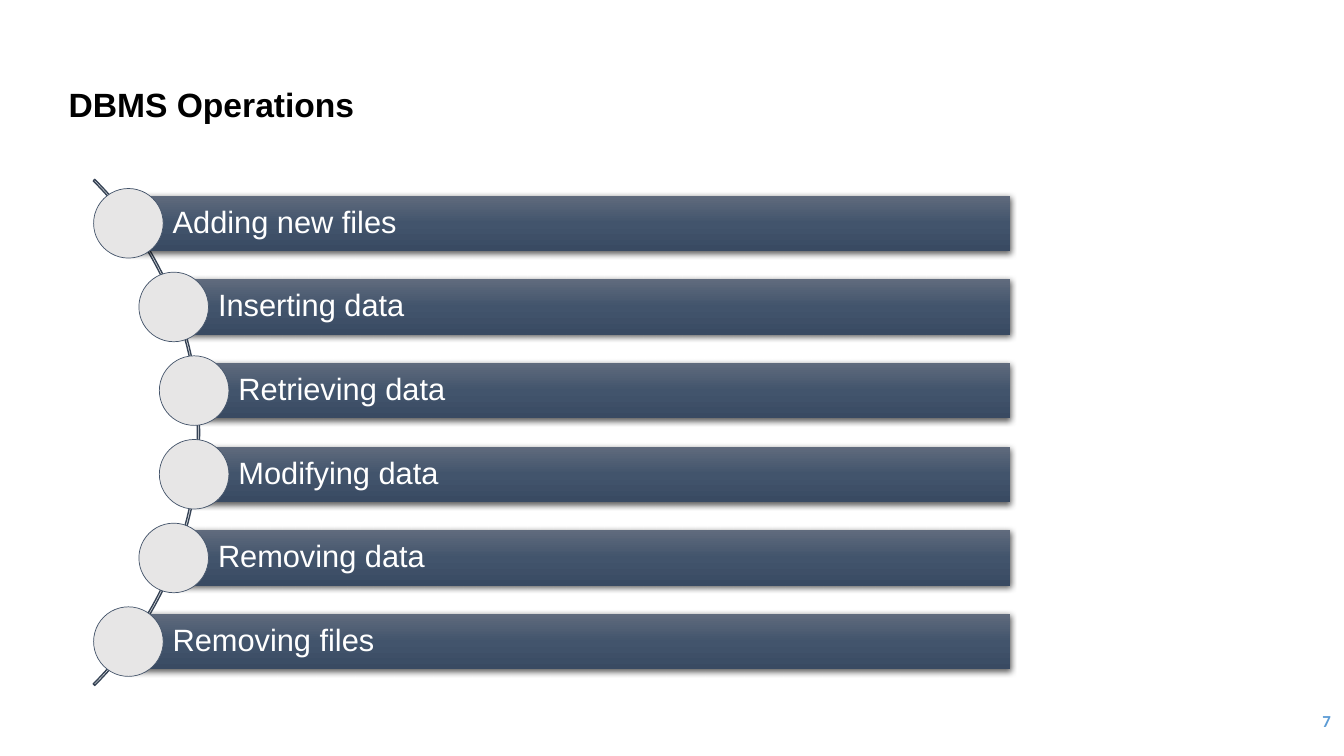
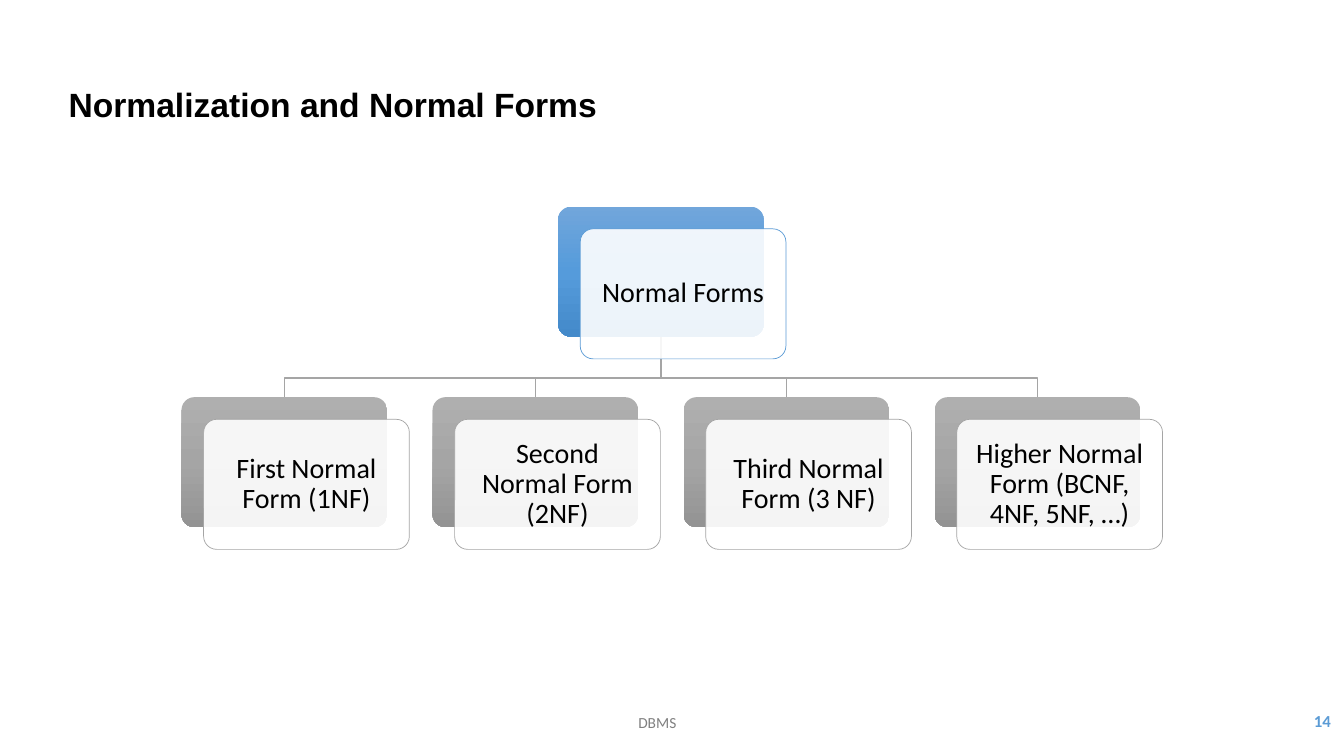
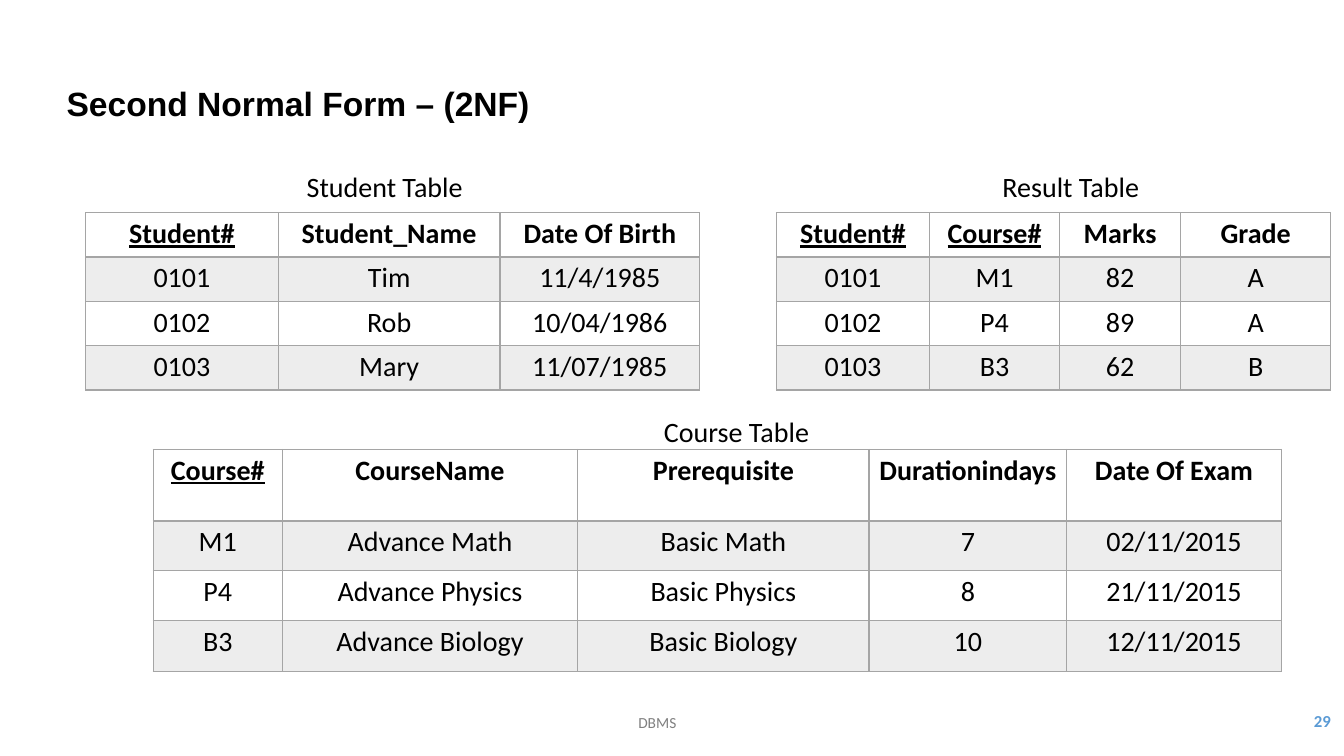
from math import sqrt

from lxml.etree import SubElement
from pptx import Presentation
from pptx.dml.color import RGBColor
from pptx.enum.shapes import MSO_SHAPE
from pptx.enum.text import MSO_ANCHOR, MSO_AUTO_SIZE, PP_ALIGN
from pptx.oxml.ns import qn
from pptx.util import Inches, Pt

BLACK, WHITE = "000000", "FFFFFF"
BLUE, GRAY, FOOTER_GRAY = "5B9BD5", "A5A5A5", "808080"
NAVY, CIRCLE_FILL, ARC_LINE = "44546A", "E7E6E6", "364355"
BAND = "EDEDED"
NAVY_SHADES = ["606B7D", "42546C", "394A62"]
BLUE_SHADES = ["71A6DB", "559BDB", "448ACA"]
GRAY_SHADES = ["AFAFAF", "A5A5A5", "939393"]
HEADING_FONT, BODY_FONT = "Arial", "Calibri"
TITLE_ONLY = 5


def rgb(color):
    return RGBColor.from_string(color)


class Deck:
    def __init__(self):
        self.presentation = Presentation()
        self.presentation.slide_width = Inches(13.33)
        self.presentation.slide_height = Inches(7.5)
        self.slide = None

    def add_slide(self, title, number, footer=None, left=0.58, top=0.86):
        layout = self.presentation.slide_layouts[TITLE_ONLY]
        self.slide = self.presentation.slides.add_slide(layout)
        heading = self.slide.shapes.title
        heading.left, heading.top = Inches(left), Inches(top)
        heading.width, heading.height = Inches(10.44), Inches(0.4)
        self.set_text(heading.text_frame, title, 24, font=HEADING_FONT, bold=True,
                      align=PP_ALIGN.LEFT, spacing=0.9)
        if footer:
            self.label(footer, 3.29, 6.97, 6.46, 0.4, 11, FOOTER_GRAY)
        self.label(str(number), 11.63, 6.95, 1.67, 0.4, 12, BLUE,
                   bold=True, align=PP_ALIGN.RIGHT)

    def set_text(self, frame, text, size, color=BLACK, font=BODY_FONT, bold=False,
                 align=PP_ALIGN.CENTER, spacing=None, insets=None):
        """Fill a text frame with one paragraph; insets are left, top, right, bottom."""
        frame.word_wrap = True
        frame.auto_size = MSO_AUTO_SIZE.NONE
        frame.vertical_anchor = MSO_ANCHOR.MIDDLE
        if insets:
            (frame.margin_left, frame.margin_top,
             frame.margin_right, frame.margin_bottom) = map(Inches, insets)
        self.add_run(frame.paragraphs[0], text, size, color, font, bold, align)
        if spacing:
            frame.paragraphs[0].line_spacing = spacing

    def add_run(self, paragraph, text, size, color=BLACK, font=BODY_FONT,
                bold=False, align=PP_ALIGN.CENTER, underline=False):
        paragraph.alignment = align
        run = paragraph.add_run()
        run.text = text
        run.font.size, run.font.name = Pt(size), font
        run.font.bold, run.font.underline = bold, underline
        run.font.color.rgb = rgb(color)

    def label(self, text, left, top, width, height, size, color=BLACK, **style):
        box = self.slide.shapes.add_textbox(
            Inches(left), Inches(top), Inches(width), Inches(height))
        self.set_text(box.text_frame, text, size, color, **style)

    def shape(self, preset, left, top, width, height, fill=None, line=None,
              line_width=0.5, adjustments=()):
        """Add a preset shape; a list as fill gives a downward gradient."""
        shape = self.slide.shapes.add_shape(
            preset, Inches(left), Inches(top), Inches(width), Inches(height))
        for index, value in enumerate(adjustments):
            shape.adjustments[index] = value
        if isinstance(fill, list):
            self.set_gradient(shape, fill)
        elif fill:
            shape.fill.solid()
            shape.fill.fore_color.rgb = rgb(fill)
        else:
            shape.fill.background()
        self.set_line(shape, line, line_width)
        return shape

    def set_line(self, shape, color, width):
        shape.shadow.inherit = False
        if color:
            shape.line.color.rgb = rgb(color)
            shape.line.width = Pt(width)
        else:
            shape.line.fill.background()

    def set_gradient(self, shape, colors):
        shape.fill.gradient()
        shape.fill.gradient_angle = 270
        stops = shape._element.spPr.find(qn("a:gradFill")).find(qn("a:gsLst"))
        for stop in list(stops):
            stops.remove(stop)
        for index, color in enumerate(colors):
            position = 100000 * index // (len(colors) - 1)
            stop = SubElement(stops, qn("a:gs"), pos=str(position))
            SubElement(stop, qn("a:srgbClr"), val=color)

    def drop_shadow(self, shape):
        effects = shape._element.spPr.find(qn("a:effectLst"))
        shadow = SubElement(effects, qn("a:outerShdw"), blurRad=str(Pt(4.5)),
                            dist=str(Pt(1.5)), dir="5400000", rotWithShape="0")
        color = SubElement(shadow, qn("a:srgbClr"), val=BLACK)
        SubElement(color, qn("a:alpha"), val="63000")

    def bar(self, text, left, top, width, height):
        bar = self.shape(MSO_SHAPE.RECTANGLE, left, top, width, height, NAVY_SHADES)
        self.drop_shadow(bar)
        self.set_text(bar.text_frame, text, 22, WHITE, HEADING_FONT,
                      align=PP_ALIGN.LEFT, spacing=0.9, insets=(0.44, 0.06, 0.06, 0.06))

    def card(self, text, left, top, width, height, shades, line):
        """Add a shaded box with a translucent text box shifted over it."""
        self.shape(MSO_SHAPE.ROUNDED_RECTANGLE, left, top, width, height, shades,
                   adjustments=[0.1])
        front = self.shape(MSO_SHAPE.ROUNDED_RECTANGLE, left + 0.22, top + 0.22,
                           width, height, WHITE, line, adjustments=[0.1])
        color = front._element.spPr.find(qn("a:solidFill"))[0]
        SubElement(color, qn("a:alpha"), val="90000")
        self.set_text(front.text_frame, text, 20, spacing=0.9, insets=[0.12] * 4)

    def branch(self, points):
        start, *rest = [(Inches(x), Inches(y)) for x, y in points]
        builder = self.slide.shapes.build_freeform(*start)
        builder.add_line_segments(rest, close=False)
        line = builder.convert_to_shape()
        line.fill.background()
        self.set_line(line, GRAY, 1)

    def table(self, rows, left, top, widths, heights, keys=1):
        """Add a banded table whose first `keys` headings are underlined."""
        table = self.slide.shapes.add_table(
            len(rows), len(widths), Inches(left), Inches(top),
            Inches(sum(widths)), Inches(sum(heights))).table
        table.first_row = table.horz_banding = False
        for column, width in zip(table.columns, widths):
            column.width = Inches(width)
        for r, (values, height) in enumerate(zip(rows, heights)):
            table.rows[r].height = Inches(height)
            for c, value in enumerate(values):
                cell = table.cell(r, c)
                cell.margin_left = cell.margin_right = Inches(0.09)
                cell.margin_top = cell.margin_bottom = Inches(0.04)
                self.add_run(cell.text_frame.paragraphs[0], value, 20,
                             bold=r == 0, underline=r == 0 and c < keys)
                self.set_borders(cell, top=2 if r == 1 else 1,
                                 bottom=2 if r == 0 else 1)
                if r % 2:
                    cell.fill.solid()
                    cell.fill.fore_color.rgb = rgb(BAND)
                else:
                    cell.fill.background()

    def set_borders(self, cell, top, bottom):
        properties = cell._tc.get_or_add_tcPr()
        for side, width in (("L", 1), ("R", 1), ("T", top), ("B", bottom)):
            border = SubElement(properties, qn("a:ln" + side), w=str(Pt(width)))
            fill = SubElement(border, qn("a:solidFill"))
            SubElement(fill, qn("a:srgbClr"), val=GRAY)


def add_operations(deck):
    deck.add_slide("DBMS Operations", 7)
    deck.shape(MSO_SHAPE.BLOCK_ARC, -5.12, 0.74, 7.1, 7.1, line=ARC_LINE,
               line_width=1, adjustments=[189, 27, 0.003])
    operations = ["Adding new files", "Inserting data", "Retrieving data",
                  "Modifying data", "Removing data", "Removing files"]
    arc_x, arc_y, radius = -1.57, 4.29, 3.52
    pitch, bar_height, bar_right, diameter = 0.83, 0.55, 10.02, 0.69
    for index, operation in enumerate(operations):
        rise = (index - (len(operations) - 1) / 2) * pitch
        x, y = arc_x + sqrt(radius ** 2 - rise ** 2), arc_y + rise
        deck.bar(operation, x, y - bar_height / 2, bar_right - x, bar_height)
        deck.shape(MSO_SHAPE.OVAL, x - diameter / 2, y - diameter / 2,
                   diameter, diameter, CIRCLE_FILL, NAVY)


def add_normal_forms(deck):
    deck.add_slide("Normalization and Normal Forms", 14, "DBMS")
    forms = ["First Normal Form (1NF)", "Second Normal Form (2NF)",
             "Third Normal Form (3 NF)", "Higher Normal Form (BCNF, 4NF, 5NF, …)"]
    width, height, root_top, form_top = 2.04, 1.29, 2.05, 3.94
    lefts = [1.8 + 2.49 * index for index in range(len(forms))]
    root_left = sum(lefts) / len(lefts)
    root_x, root_bottom, fork_y = root_left + width / 2, root_top + height, 3.75
    for left in reversed(lefts):
        form_x = left + width / 2
        deck.branch([(root_x, root_bottom), (root_x, fork_y),
                     (form_x, fork_y), (form_x, form_top)])
    deck.card("Normal Forms", root_left, root_top, width, height, BLUE_SHADES, BLUE)
    for form, left in zip(forms, lefts):
        deck.card(form, left, form_top, width, height, GRAY_SHADES, GRAY)


def add_second_form(deck):
    deck.add_slide("Second Normal Form – (2NF)", 29, "DBMS", left=0.56, top=0.85)
    students = [["Student#", "Student_Name", "Date Of Birth"],
                ["0101", "Tim", "11/4/1985"],
                ["0102", "Rob", "10/04/1986"],
                ["0103", "Mary", "11/07/1985"]]
    courses = [["Course#", "CourseName", "Prerequisite", "Durationindays", "Date Of Exam"],
               ["M1", "Advance Math", "Basic Math", "7", "02/11/2015"],
               ["P4", "Advance Physics", "Basic Physics", "8", "21/11/2015"],
               ["B3", "Advance Biology", "Basic Biology", "10", "12/11/2015"]]
    results = [["Student#", "Course#", "Marks", "Grade"],
               ["0101", "M1", "82", "A"],
               ["0102", "P4", "89", "A"],
               ["0103", "B3", "62", "B"]]
    even_rows = [0.44] * 4
    deck.table(students, 0.85, 2.11, [1.91, 2.2, 1.98], even_rows)
    deck.table(courses, 1.52, 4.46, [1.28, 2.93, 2.89, 1.96, 2.13],
               [0.71, 0.49, 0.5, 0.5])
    deck.table(results, 7.7, 2.11, [1.52, 1.29, 1.2, 1.49], even_rows, keys=2)
    for caption, left, top, width in (("Result Table", 9.5, 1.63, 2.24),
                                      ("Student Table", 2.87, 1.63, 1.89),
                                      ("Course Table", 6.21, 4.06, 2.19)):
        deck.label(caption, left, top, width, 0.44, 20)


def main():
    deck = Deck()
    add_operations(deck)
    add_normal_forms(deck)
    add_second_form(deck)
    deck.presentation.save("out.pptx")


if __name__ == "__main__":
    main()
